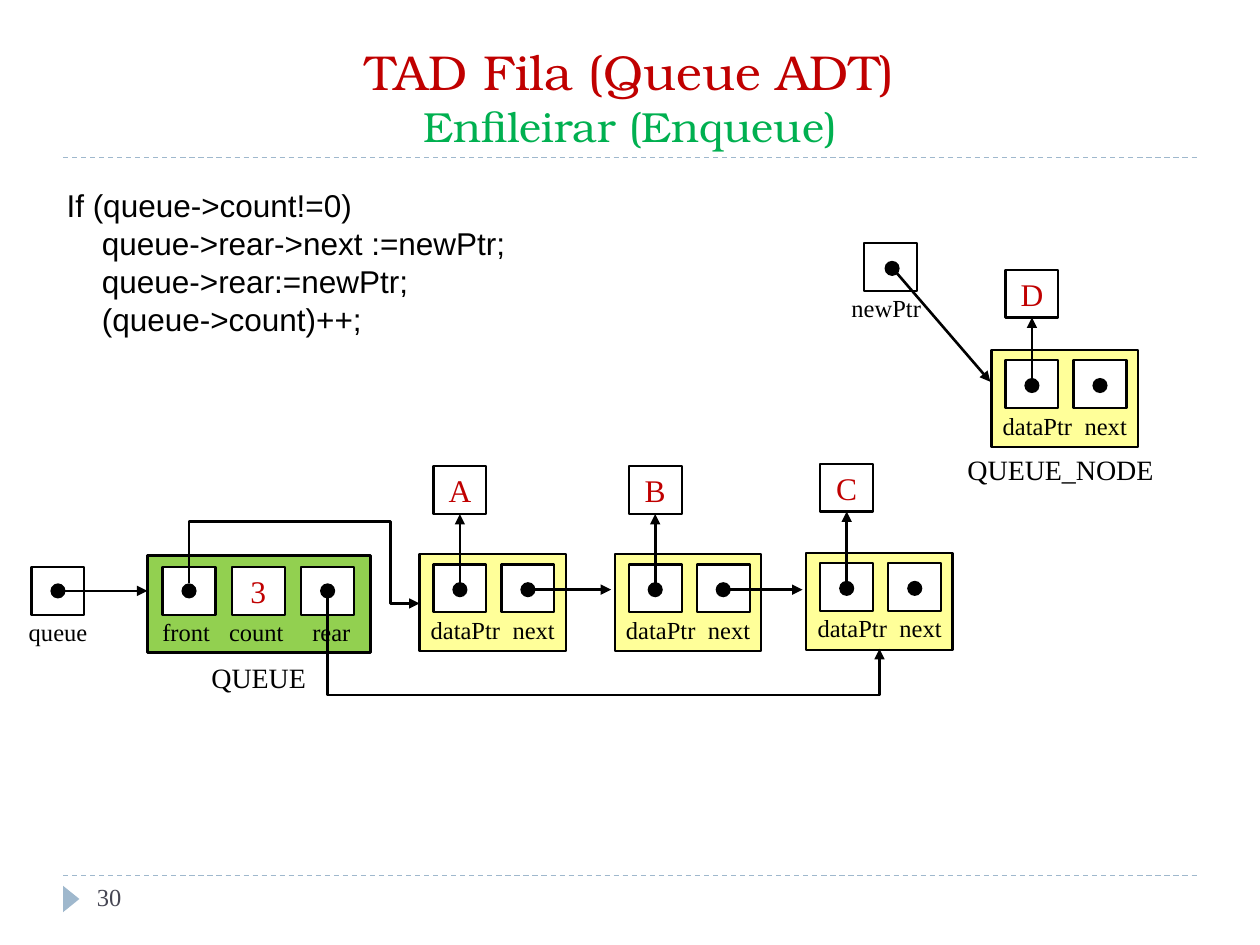
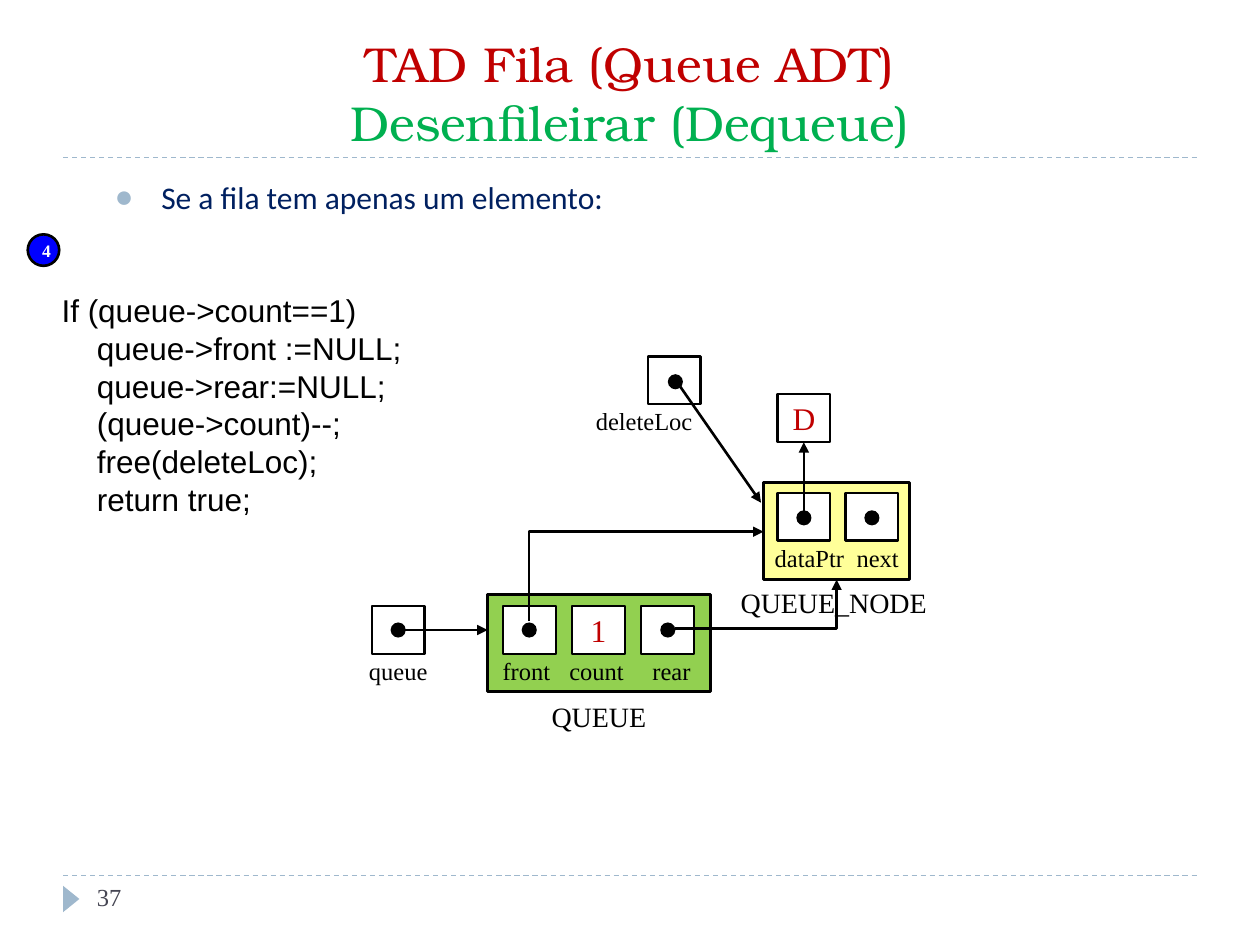
from copy import deepcopy
from lxml import etree
from pptx import Presentation
from pptx.dml.color import RGBColor
from pptx.enum.dml import MSO_LINE
from pptx.enum.shapes import MSO_CONNECTOR, MSO_SHAPE
from pptx.enum.text import MSO_ANCHOR, MSO_AUTO_SIZE, PP_ALIGN
from pptx.oxml.ns import qn
from pptx.util import Inches, Pt

RECT, OVAL, TRIANGLE = MSO_SHAPE.RECTANGLE, MSO_SHAPE.OVAL, MSO_SHAPE.ISOSCELES_TRIANGLE
STRAIGHT, ELBOW = MSO_CONNECTOR.STRAIGHT, MSO_CONNECTOR.ELBOW
CENTER, JUSTIFY = PP_ALIGN.CENTER, PP_ALIGN.JUSTIFY
TOP, MIDDLE, BOTTOM = MSO_ANCHOR.TOP, MSO_ANCHOR.MIDDLE, MSO_ANCHOR.BOTTOM

BLACK = RGBColor(0x00, 0x00, 0x00)
WHITE = RGBColor(0xFF, 0xFF, 0xFF)
RED = RGBColor(0xC0, 0x00, 0x00)
GREEN = RGBColor(0x00, 0xB0, 0x50)
NAVY = RGBColor(0x00, 0x20, 0x60)
BLUE = RGBColor(0x00, 0x00, 0xFF)
STEEL = RGBColor(0x9F, 0xB8, 0xCD)
SLATE = RGBColor(0x46, 0x46, 0x53)
LIME = RGBColor(0x92, 0xD0, 0x50)
CREAM = RGBColor(0xFF, 0xFF, 0x99)
TITLE_FONT, BODY_FONT, CODE_FONT, LABEL_FONT = "TeX Gyre Bonum", "Calibri", "Arial", "Times New Roman"

# Content: positions are (left, top) in inches
TITLE = "TAD Fila (Queue ADT)"
SLIDES = [
    dict(
        subtitle="Enfileirar (Enqueue)", subtitle_size=24, number="30",
        code=["If (queue->count!=0)", "queue->rear->next :=newPtr;",
              "queue->rear:=newPtr;", "(queue->count)++;"],
        code_box=(0.43, 1.43, 3.72, 1.31),
        queue=(1.17, 4.41), count="3",
        nodes=[("A", 3.33, 4.40, 0.70), ("B", 4.88, 4.40, 0.70),
               ("C", 6.40, 4.39, 0.71), ("D", 7.87, 2.78, 0.64)],
        links=[(0, 1), (1, 2)],
        node_name=(7.58, 3.54),
        pointer=("newPtr", (6.86, 1.93), (6.66, 2.28, 0.76), (7.86, 3.03)),
        elbows=[((1.50, 4.63), (3.33, 4.79), 4, True, (-3.068, 0.873)),
                ((2.60, 4.75), (6.98, 5.15), 3, True, (1.92,))],
    ),
    dict(
        subtitle="Desenfileirar (Dequeue)", subtitle_size=28, number="37",
        bullet="Se a fila tem apenas um elemento:", step="4",
        code=["If (queue->count==1)", "queue->front :=NULL;", "queue->rear:=NULL;",
              "(queue->count)--;", "free(deleteLoc);", "return true;"],
        code_box=(0.39, 2.26, 2.92, 1.92),
        queue=(3.87, 4.72), count="1",
        nodes=[("D", 6.06, 3.83, 0.70)],
        links=[],
        node_name=(5.78, 4.60),
        pointer=("deleteLoc", (5.14, 2.83), (4.63, 3.17, 0.98), (6.04, 3.99)),
        elbows=[((4.20, 4.93), (6.06, 4.22), 2, True, ()),
                ((5.36, 4.99), (6.64, 4.60), 2, False, ())],
    ),
]

# Shared measures
CELL_W, CELL_H, DOT = 0.42, 0.38, 0.12
NODE_W, QUEUE_W, BOX_H = 1.16, 1.77, 0.77
NODE_PITCH, QUEUE_PITCH = 0.54, 0.55


def write(p, text, size=14, font=LABEL_FONT, color=BLACK, bold=False, align=None):
    r = p.add_run()
    r.text = text
    r.font.size, r.font.name, r.font.bold = Pt(size), font, bold
    r.font.color.rgb = color
    if align is not None:
        p.alignment = align
    return r


def place(sp, *box):
    sp.left, sp.top, sp.width, sp.height = map(Inches, box)


def label(s, text, x, y, w, h=0.34, **fmt):
    tf = s.shapes.add_textbox(*map(Inches, (x, y, w, h))).text_frame
    tf.word_wrap = False
    write(tf.paragraphs[0], text, **fmt)


def shape(s, kind, x, y, w, h, fill=WHITE, line=1.25, text="", **fmt):
    sp = s.shapes.add_shape(kind, *map(Inches, (x, y, w, h)))
    sp.shadow.inherit = False
    sp.fill.solid()
    sp.fill.fore_color.rgb = fill
    if line:
        sp.line.color.rgb, sp.line.width = BLACK, Pt(line)
    else:
        sp.line.fill.background()
    if text:
        sp.text_frame.vertical_anchor = MIDDLE
        write(sp.text_frame.paragraphs[0], text, align=CENTER, **fmt)
    return sp


def cell(s, x, y, text=""):
    return shape(s, RECT, x, y, CELL_W, CELL_H, text=text, size=18, color=RED)


def dot(s, x, y):
    shape(s, OVAL, x - DOT / 2, y - DOT / 2, DOT, DOT, fill=BLACK, line=0)


def connector(s, start, end, kind=STRAIGHT, color=BLACK, width=1.5, arrow=True):
    c = s.shapes.add_connector(kind, *map(Inches, (*start, *end)))
    c.line.color.rgb, c.line.width = color, Pt(width)
    if arrow:
        etree.SubElement(c.line._get_or_add_ln(), qn("a:tailEnd"), type="triangle")
    etree.SubElement(c._element.spPr, qn("a:effectLst"))
    return c


def elbow(s, start, end, segments, vertical, adjust):
    """Bent arrow; one that leaves vertically is a horizontal one turned by 270 degrees."""
    (x1, y1), (x2, y2) = start, end
    if vertical:
        cx, cy, half_w, half_h = (x1 + x2) / 2, (y1 + y2) / 2, (y1 - y2) / 2, (x2 - x1) / 2
        start, end = (cx - half_w, cy - half_h), (cx + half_w, cy + half_h)
    spPr = connector(s, start, end, ELBOW)._element.spPr
    if vertical:
        spPr.find(qn("a:xfrm")).set("rot", str(270 * 60000))
    geom = spPr.find(qn("a:prstGeom"))
    geom.set("prst", f"bentConnector{segments}")
    guides = geom.find(qn("a:avLst"))
    for i, share in enumerate(adjust, 1):
        etree.SubElement(guides, qn("a:gd"), name=f"adj{i}", fmla=f"val {round(share * 100000)}")


def node(s, letter, x, y, rise):
    shape(s, RECT, x, y, NODE_W, BOX_H, fill=CREAM)
    label(s, "dataPtr", x - 0.01, y + 0.43, 0.76)
    label(s, "next", x + 0.64, y + 0.43, 0.54)
    for i in range(2):
        cell(s, x + 0.11 + i * NODE_PITCH, y + 0.08)
    data = cell(s, x + 0.11, y - rise, letter)
    connector(s, (x + 0.32, y + 0.27), (x + 0.32, y - rise + CELL_H)).end_connect(data, 2)
    for i in range(2):
        dot(s, x + 0.32 + i * NODE_PITCH, y + 0.28)


def queue(s, x, y, count):
    label(s, "QUEUE", x + 0.41, y + 0.78, 0.96, 0.37, size=16)
    shape(s, RECT, x, y, QUEUE_W, BOX_H, fill=LIME, line=2)
    for i, text in enumerate(["", count, ""]):
        cell(s, x + 0.12 + i * QUEUE_PITCH, y + 0.09, text)
    cell(s, x - 0.92, y + 0.09)
    for text, dx, w in [("front", 0.02, 0.58), ("count", 0.55, 0.64),
                        ("rear", 1.21, 0.51), ("queue", -1.04, 0.67)]:
        label(s, text, x + dx, y + 0.44, w)
    connector(s, (x - 0.71, y + 0.28), (x, y + 0.28))
    for dx in (-0.71, 0.33, 1.43):
        dot(s, x + dx, y + 0.28)


def frame(s, subtitle, subtitle_size, number):
    """Title, dashed rules and page mark."""
    title = s.shapes.title
    place(title, 0.5, 0.25, 9, 1)
    tf = title.text_frame
    tf.auto_size, tf.vertical_anchor = MSO_AUTO_SIZE.NONE, BOTTOM
    p = tf.paragraphs[0]
    r = write(p, TITLE, size=28, font=TITLE_FONT, color=RED, align=CENTER)
    p.add_line_break()
    p._p.find(qn("a:br")).append(deepcopy(r._r.rPr))
    write(p, subtitle, size=subtitle_size, font=TITLE_FONT, color=GREEN)
    for y in (1.25, 6.95):
        rule = connector(s, (0.5, y), (9.5, y), color=STEEL, width=0.75, arrow=False)
        rule.line.dash_style = MSO_LINE.DASH
    shape(s, TRIANGLE, 0.46, 7.07, 0.21, 0.13, fill=STEEL, line=0).rotation = 90
    label(s, number, 0.67, 6.95, 2.17, 0.4, color=SLATE)


def code_block(s, lines, box):
    tf = s.shapes.add_textbox(*map(Inches, box)).text_frame
    tf.word_wrap = False
    for i, line in enumerate(lines):
        p = tf.add_paragraph() if i else tf.paragraphs[0]
        write(p, line, size=18, font=CODE_FONT)
        if i:
            p._p.get_or_add_pPr().set("marL", str(Inches(0.28)))


def bullet_line(body, text):
    place(body, 0.81, 1.36, 8.5, 0.44)
    tf = body.text_frame
    tf.auto_size, tf.vertical_anchor = MSO_AUTO_SIZE.NONE, TOP
    p = tf.paragraphs[0]
    write(p, text, size=18, font=BODY_FONT, color=NAVY, align=JUSTIFY)
    p.space_before = Pt(0)
    pPr = p._p.get_or_add_pPr()
    pPr.set("marL", str(Inches(0.37)))
    pPr.set("indent", str(-Inches(0.37)))
    color = etree.SubElement(pPr, qn("a:buClr"))
    etree.SubElement(color, qn("a:srgbClr"), val=str(STEEL))
    etree.SubElement(pPr, qn("a:buChar"), char="●")


def build(prs, d):
    has_bullet = "bullet" in d
    s = prs.slides.add_slide(prs.slide_layouts[1 if has_bullet else 5])
    frame(s, d["subtitle"], d["subtitle_size"], d["number"])
    if has_bullet:
        bullet_line(s.placeholders[1], d["bullet"])
        shape(s, OVAL, 0.22, 1.86, 0.25, 0.25, fill=BLUE, line=1.5,
              text=d["step"], size=10, color=WHITE, bold=True)
    code_block(s, d["code"], d["code_box"])

    # Queue header and its nodes
    queue(s, *d["queue"], d["count"])
    for item in d["nodes"]:
        node(s, *item)
    label(s, "QUEUE_NODE", *d["node_name"], 1.69, 0.37, size=16)

    # Loose pointer
    name, (x, y), name_box, target = d["pointer"]
    cell(s, x, y)
    label(s, name, *name_box)
    dot(s, x + CELL_W / 2 + 0.01, y + 0.2)
    connector(s, (x + 0.26, y + 0.24), target)

    # Links between nodes and from the header
    for a, b in d["links"]:
        (_, x1, y1, _), (_, x2, _, _) = d["nodes"][a], d["nodes"][b]
        connector(s, (x1 + 0.9, y1 + 0.28), (x2 - 0.03, y1 + 0.28))
    for item in d["elbows"]:
        elbow(s, *item)


def main():
    prs = Presentation()
    prs.slide_width, prs.slide_height = Inches(10), Inches(7.5)
    for d in SLIDES:
        build(prs, d)
    prs.save("out.pptx")


if __name__ == "__main__":
    main()
